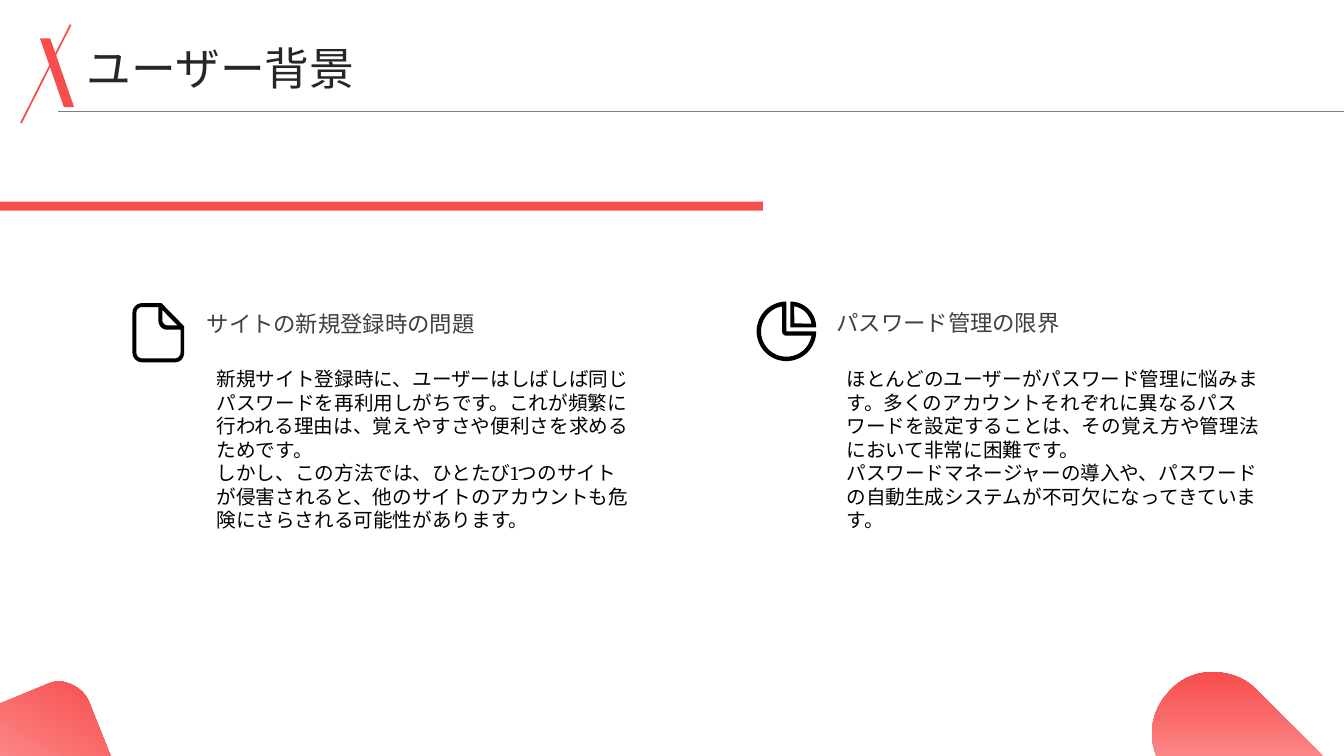
"""Build the user background slide."""
from math import cos, radians, sin

from lxml.etree import SubElement
from pptx import Presentation
from pptx.enum.shapes import MSO_CONNECTOR as CONNECTOR, MSO_SHAPE as SHAPE
from pptx.enum.text import MSO_ANCHOR as ANCHOR, MSO_AUTO_SIZE as AUTO_SIZE, PP_ALIGN as ALIGN
from pptx.dml.color import RGBColor
from pptx.oxml.ns import qn
from pptx.util import Cm, Pt

COLORS = {"red": "F84D4D", "pale": "FB8585", "rule": "7F7F7F",
          "title": "262626", "heading": "404040", "ink": "000000"}
FONT = "Cambria"
COLUMNS = [
    (5.21, 7.82, "サイトの新規登録時の問題",
     "新規サイト登録時に、ユーザーはしばしば同じパスワードを再利用しがちです。これが頻繁に行われる理由は、"
     "覚えやすさや便利さを求めるためです。\nしかし、この方法では、ひとたび1つのサイトが侵害されると、"
     "他のサイトのアカウントも危険にさらされる可能性があります。"),
    (21.08, 7.8, "パスワード管理の限界",
     "ほとんどのユーザーがパスワード管理に悩みます。多くのアカウントそれぞれに異なるパスワードを設定することは、"
     "その覚え方や管理法において非常に困難です。\nパスワードマネージャーの導入や、"
     "パスワードの自動生成システムが不可欠になってきています。"),
]
LEFT_CORNER = [(1.5, 17.17), (1.8, 17.2, 2.11, 17.37, 2.24, 17.68), (2.79, 19.05), (0, 19.05),
               (0, 17.73), (1.17, 17.25), (1.27, 17.2, 1.4, 17.17, 1.5, 17.17)]
RIGHT_CORNER = [(30.56, 16.94), (30.96, 16.94, 31.37, 17.07, 31.65, 17.37), (33.35, 19.05),
                (29.13, 19.05), (29.06, 18.8), (28.96, 18.29, 29.11, 17.78, 29.49, 17.4),
                (29.77, 17.09, 30.15, 16.94, 30.56, 16.94)]
PAGE_EDGE = [(4.07, 7.64), (3.58, 7.64), (3.45, 7.64, 3.34, 7.75, 3.34, 7.88), (3.34, 8.89),
             (3.34, 9.02, 3.45, 9.13, 3.58, 9.13), (4.42, 9.13),
             (4.55, 9.13, 4.64, 9.02, 4.64, 8.89), (4.64, 8.22)]
PAGE_FOLD = [(4.09, 8.05), (4.09, 7.81), (4.47, 8.2), (4.22, 8.2),
             (4.15, 8.2, 4.09, 8.13, 4.09, 8.05)]
PAGE_INSIDE = [(4.55, 8.89), (4.55, 8.97, 4.48, 9.03, 4.42, 9.03), (3.58, 9.03),
               (3.5, 9.03, 3.44, 8.97, 3.44, 8.89), (3.44, 7.88),
               (3.44, 7.8, 3.5, 7.74, 3.58, 7.74), (3.99, 7.74), (3.99, 8.05),
               (3.99, 8.2, 4.08, 8.31, 4.22, 8.31), (4.55, 8.31)]


def rgb(name):
    """Return a named colour."""
    return RGBColor.from_string(COLORS[name])


def arc(center, radius, start, end):
    """Return points along a circle, with clockwise angles in degrees."""
    steps = max(8, (end - start) // 5)
    angles = [radians(start + (end - start) * i / steps) for i in range(steps + 1)]
    return [(center[0] + radius * cos(a), center[1] + radius * sin(a)) for a in angles]


def flatten(contour, steps=10):
    """Turn points and cubic curves into points alone."""
    points = []
    for node in contour:
        if len(node) == 2:
            points.append(node)
            continue
        knots = [points[-1], node[:2], node[2:4], node[4:]]
        for i in range(1, steps + 1):
            t = i / steps
            weights = ((1 - t) ** 3, 3 * t * (1 - t) ** 2, 3 * t * t * (1 - t), t ** 3)
            points.append(tuple(sum(w * k[axis] for w, k in zip(weights, knots))
                                for axis in (0, 1)))
    return points


def paint(shape, color):
    """Give a shape a plain fill without line or shadow."""
    shape.shadow.inherit = False
    shape.line.fill.background()
    shape.fill.solid()
    shape.fill.fore_color.rgb = rgb(color)


def add_outline(slide, contours, color="ink"):
    """Draw one filled freeform from closed contours."""
    builder = None
    for contour in contours:
        first, *rest = [(Cm(x), Cm(y)) for x, y in flatten(contour)]
        if builder is None:
            builder = slide.shapes.build_freeform(*first)
        else:
            builder.move_to(*first)
        builder.add_line_segments(rest, close=True)
    outline = builder.convert_to_shape()
    paint(outline, color)
    return outline


def add_corner(slide, contour, angle):
    """Draw a corner ornament with a gradient from pale to red."""
    fill = add_outline(slide, [contour], "red").fill
    fill.gradient()
    fill.gradient_angle = angle
    for stop, color in zip(fill.gradient_stops, ("pale", "red")):
        stop.color.rgb = rgb(color)


def add_pie_icon(slide):
    """Draw the pie chart icon."""
    hub, wedge_hub = (19.82, 8.35), (19.92, 8.25)
    add_outline(slide, [
        arc(hub, 0.75, 0, 270) + [hub],
        arc(hub, 0.64, 10, 260) + [(19.71, 8.35), (19.71, 8.41, 19.76, 8.46, 19.82, 8.46)],
        arc(wedge_hub, 0.65, 270, 360) + [wedge_hub],
        arc(wedge_hub, 0.54, 280, 350) + [(20.02, 8.15)],
    ])


def add_line(slide, start, end, color, width):
    """Draw a straight line."""
    line = slide.shapes.add_connector(CONNECTOR.STRAIGHT, *map(Cm, start + end))
    line.line.color.rgb = rgb(color)
    line.line.width = Pt(width)
    SubElement(line._element.spPr, qn("a:effectLst"))


def add_bar(slide, kind, left, top, width, height):
    """Draw a red preset shape."""
    bar = slide.shapes.add_shape(kind, Cm(left), Cm(top), Cm(width), Cm(height))
    paint(bar, "red")
    return bar


def fill_text(holder, text, box, size, color, anchor=ANCHOR.TOP, inset=0):
    """Place and format the text of a placeholder."""
    holder.left, holder.top, holder.width, holder.height = map(Cm, box)
    frame = holder.text_frame
    frame.auto_size = AUTO_SIZE.NONE
    frame.word_wrap = True
    frame.vertical_anchor = anchor
    frame.margin_left = frame.margin_right = Cm(inset)
    frame.margin_top = frame.margin_bottom = Cm(inset / 2)
    paragraph = frame.paragraphs[0]
    paragraph.text = text
    properties = paragraph._p.get_or_add_pPr()
    properties.set("marL", "0")
    properties.set("indent", "0")
    SubElement(properties, qn("a:buNone"))
    paragraph.alignment = ALIGN.LEFT
    paragraph.space_before = Pt(0)
    for run in paragraph.runs:
        run.font.name, run.font.size, run.font.bold = FONT, Pt(size), False
        run.font.color.rgb = rgb(color)


def main():
    """Build and save the slide."""
    deck = Presentation()
    deck.slide_width, deck.slide_height = Cm(33.87), Cm(19.05)
    slide = deck.slides.add_slide(deck.slide_layouts[4])
    title, *holders = slide.placeholders

    add_corner(slide, LEFT_CORNER, 60)
    add_corner(slide, RIGHT_CORNER, 90)
    add_bar(slide, SHAPE.RECTANGLE, 0, 5.08, 19.23, 0.23)

    fill_text(title, "ユーザー背景", (2.18, 1.12, 29.82, 1.19), 32, "title", ANCHOR.MIDDLE)
    for (left, top, heading, body), heading_holder, body_holder in zip(
            COLUMNS, holders[::2], holders[1::2]):
        fill_text(heading_holder, heading, (left, top, 10.9, 0.66), 16, "heading")
        fill_text(body_holder, body, (left, 9.12, 10.92, 5.77), 14, "ink", inset=0.25)

    add_outline(slide, [PAGE_EDGE, PAGE_FOLD, PAGE_INSIDE])
    add_pie_icon(slide)

    slash = add_bar(slide, SHAPE.PARALLELOGRAM, 1.01, 0.97, 0.86, 1.73)
    slash.adjustments[0] = 0.7
    slash._element.spPr.find(qn("a:xfrm")).set("flipH", "1")
    add_line(slide, (1.78, 0.62), (0.53, 3.1), "red", 1.25)
    add_line(slide, (1.47, 2.81), (33.87, 2.81), "rule", 0.75)
    deck.save("out.pptx")


if __name__ == "__main__":
    main()
